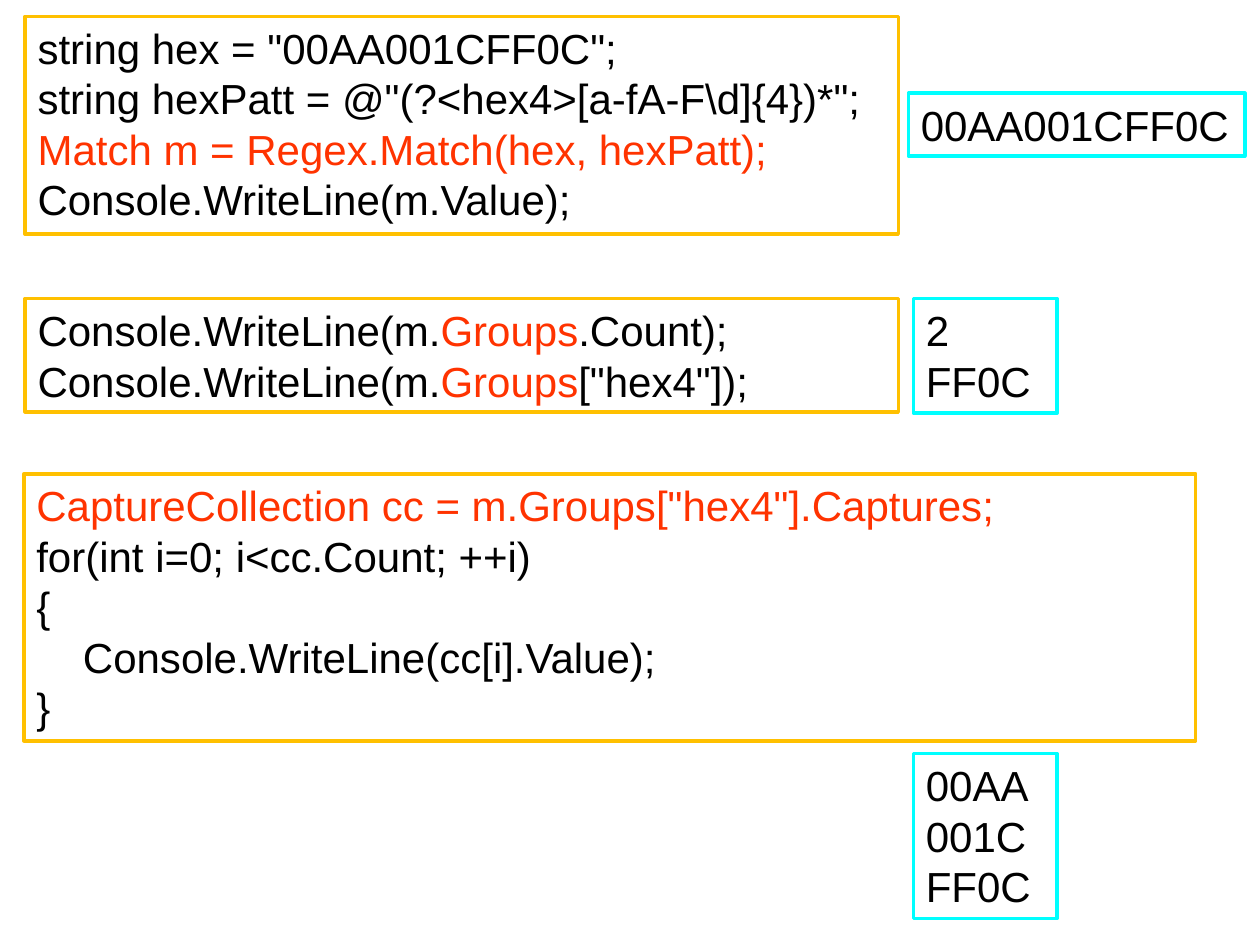
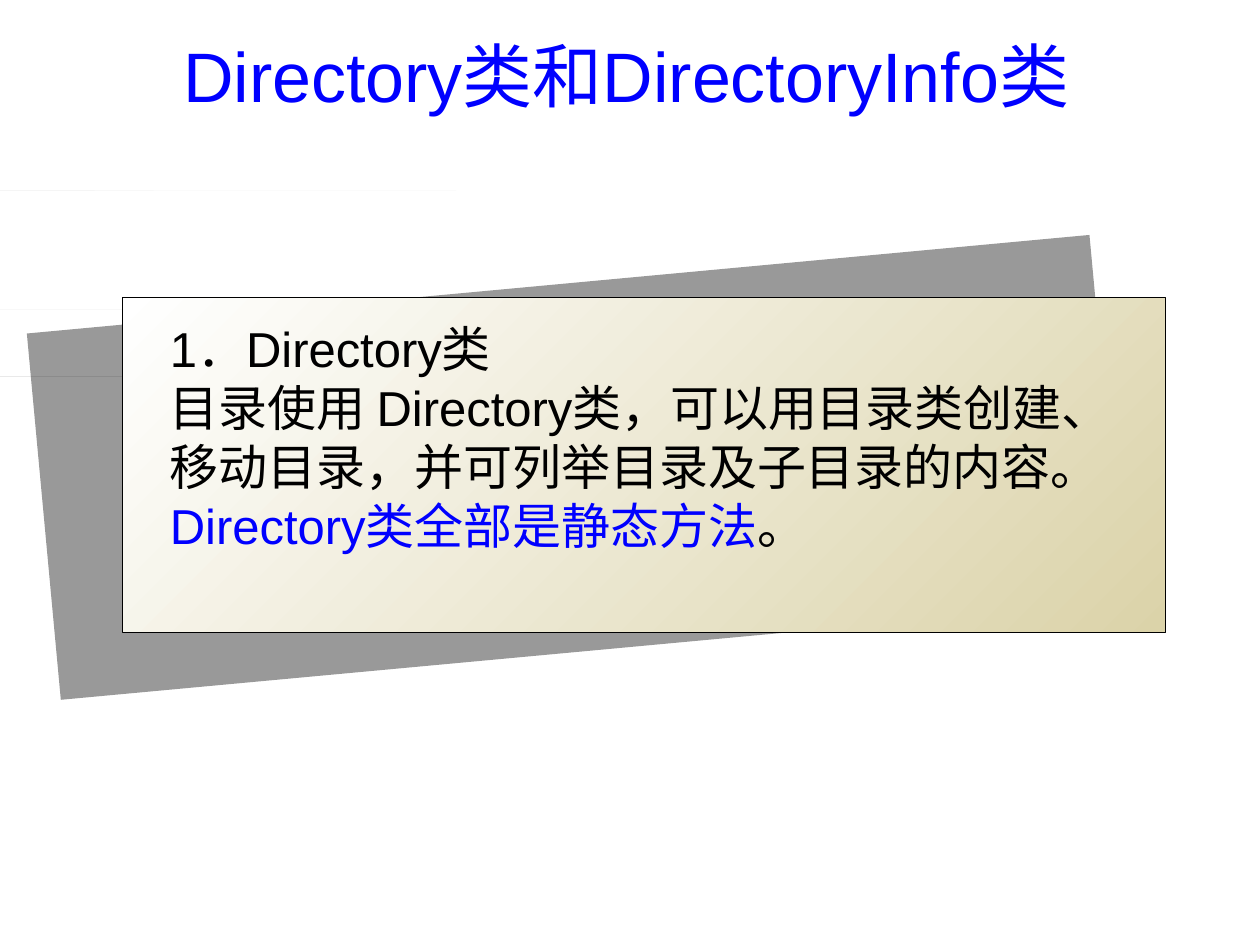
from dataclasses import dataclass

from lxml.etree import SubElement
from pptx import Presentation
from pptx.dml.color import RGBColor as RGB
from pptx.enum.shapes import MSO_SHAPE as Preset
from pptx.enum.text import MSO_ANCHOR as Anchor, MSO_AUTO_SIZE as AutoSize, PP_ALIGN as Align
from pptx.oxml.ns import qn
from pptx.util import Inches, Pt


@dataclass(frozen=True)
class Theme:
    font: str = "Arial"
    text: str = "000000"
    keyword: str = "FF3300"
    accent: str = "0000FF"
    code_border: str = "FFC000"
    output_border: str = "00FFFF"
    panel_start: str = "FFFFFF"
    panel_end: str = "DBD3A9"
    title_size: int = 40
    body_size: int = 28
    code_size: int = 24
    code_line: float = 2
    panel_line: float = 0.75
    shade_opacity: int = 40


THEME = Theme()
CODE, OUTPUT = THEME.code_border, THEME.output_border
KEY, ACCENT = THEME.keyword, THEME.accent
CODE_INDENT = 0.37

# A paragraph is a list of runs; a run is plain text or (text, colour).
# Tabs at the start of a code line set its indent level.
CODE_BOXES = [
    (CODE, (0.2, 0.13, 6.93, 1.73), [
        ['string hex = "00AA001CFF0C";'],
        [r'string hexPatt = @"(?<hex4>[a-fA-F\d]{4})*";'],
        [("Match m = Regex.Match(hex, hexPatt);", KEY)],
        ["Console.WriteLine(m.Value);"],
    ]),
    (OUTPUT, (7.21, 0.74, 2.67, 0.5), [["00AA001CFF0C"]]),
    (CODE, (0.2, 2.37, 6.93, 0.9), [
        ["Console.WriteLine(m.", ("Groups", KEY), ".Count);"],
        ["Console.WriteLine(m.", ("Groups", KEY), '["hex4"]);'],
    ]),
    (OUTPUT, (7.25, 2.37, 1.14, 0.91), [["2"], ["FF0C"]]),
    (OUTPUT, (7.25, 5.98, 1.14, 1.31), [["00AA"], ["001C"], ["FF0C"]]),
    (CODE, (0.19, 3.76, 9.3, 2.12), [
        [('CaptureCollection cc = m.Groups["hex4"].Captures;', KEY)],
        ["for(int i=0; i<cc.Count; ++i)"],
        ["{"],
        ["\tConsole.WriteLine(cc[i].Value);"],
        ["}"],
    ]),
]

TITLE = [[("Directory类和DirectoryInfo类", ACCENT)]]
TITLE_AREA = (1.16, 0.21, 7.62, 0.77)
PANEL_TEXT = [
    ["1．Directory类"],
    ["目录使用 Directory类，可以用目录类创建、移动目录，并可列举目录及子目录的内容。",
     ("Directory类全部是静态方法", ACCENT), "。"],
]
PANEL_TEXT_AREA = (1.25, 2.48, 7.82, 1.99)
PANEL_AREA = (0.97, 2.36, 8.28, 2.66)
SHADE_AREA = (0.33, 2.25, 8.47, 2.92)
SHADE_ROTATION = 354.7

# left, top, colour, widths of the overlapping lines
HAIRLINES = [
    (2.19, 2.98, "E6E6E6", (0.67, 0.56, 1.47, 0.72, 0.76, 1.45)),
    (1.38, 2.99, "E6E6E6", (0.75, 1, 2.76)),
    (0, 1.51, "E5E5E5", (0.75, 3.62, 1.22)),
    (0, 2.99, "E6E6E6", (1.9, 1.45, 1.66, 4.99)),
    (0, 2.46, "E5E5E5", (3.44, 6.56)),
]


def colour(value):
    return RGB.from_string(value)


def add_rectangle(shapes, area, fill=None, line=None, line_width=1):
    shape = shapes.add_shape(Preset.RECTANGLE, *map(Inches, area))
    shape.shadow.inherit = False
    if fill:
        shape.fill.solid()
        shape.fill.fore_color.rgb = colour(fill)
    else:
        shape.fill.background()
    if line:
        shape.line.color.rgb = colour(line)
        shape.line.width = Pt(line_width)
    else:
        shape.line.fill.background()
    return shape


def write(shape, paragraphs, size, align=Align.LEFT, grow=False):
    frame = shape.text_frame
    frame.word_wrap = True
    frame.vertical_anchor = Anchor.TOP
    frame.auto_size = AutoSize.SHAPE_TO_FIT_TEXT if grow else AutoSize.NONE
    for index, runs in enumerate(paragraphs):
        paragraph = frame.paragraphs[0] if index == 0 else frame.add_paragraph()
        paragraph.alignment = align
        for item in runs:
            text, run_colour = (item, THEME.text) if isinstance(item, str) else item
            level = len(text) - len(text.lstrip("\t"))
            if level:
                margin = Inches(level * CODE_INDENT)
                paragraph._p.get_or_add_pPr().set("marL", str(margin))
            run = paragraph.add_run()
            run.text = text.lstrip("\t")
            run.font.name = THEME.font
            run.font.size = Pt(size)
            run.font.color.rgb = colour(run_colour)


def add_text(shapes, area, paragraphs, size, align=Align.LEFT):
    box = shapes.add_textbox(*map(Inches, area))
    write(box, paragraphs, size, align, grow=True)


def set_opacity(shape, percent):
    fill_colour = shape._element.spPr.find(qn("a:solidFill"))[0]
    SubElement(fill_colour, qn("a:alpha")).set("val", str(percent * 1000))


def build_captures_slide(slide):
    for border, area, lines in CODE_BOXES:
        box = add_rectangle(slide.shapes, area, line=border, line_width=THEME.code_line)
        write(box, lines, THEME.code_size, grow=border == OUTPUT)


def build_directory_slide(slide):
    for left, top, line_colour, widths in HAIRLINES:
        for width in widths:
            add_rectangle(slide.shapes, (left, top, width, 0), fill=line_colour)
    add_text(slide.shapes, TITLE_AREA, TITLE, THEME.title_size, Align.CENTER)

    group = slide.shapes.add_group_shape().shapes
    shade = add_rectangle(group, SHADE_AREA, fill=THEME.text)
    shade.rotation = SHADE_ROTATION
    set_opacity(shade, THEME.shade_opacity)

    panel = add_rectangle(group, PANEL_AREA, line=THEME.text, line_width=THEME.panel_line)
    panel.fill.gradient()
    panel.fill.gradient_angle = 315
    for stop, value in zip(panel.fill.gradient_stops, (THEME.panel_start, THEME.panel_end)):
        stop.color.rgb = colour(value)
    add_text(group, PANEL_TEXT_AREA, PANEL_TEXT, THEME.body_size)


def main():
    presentation = Presentation()
    presentation.slide_width, presentation.slide_height = Inches(10), Inches(7.5)
    blank = presentation.slide_layouts[6]
    for build in (build_captures_slide, build_directory_slide):
        build(presentation.slides.add_slide(blank))
    presentation.save("out.pptx")


if __name__ == "__main__":
    main()
